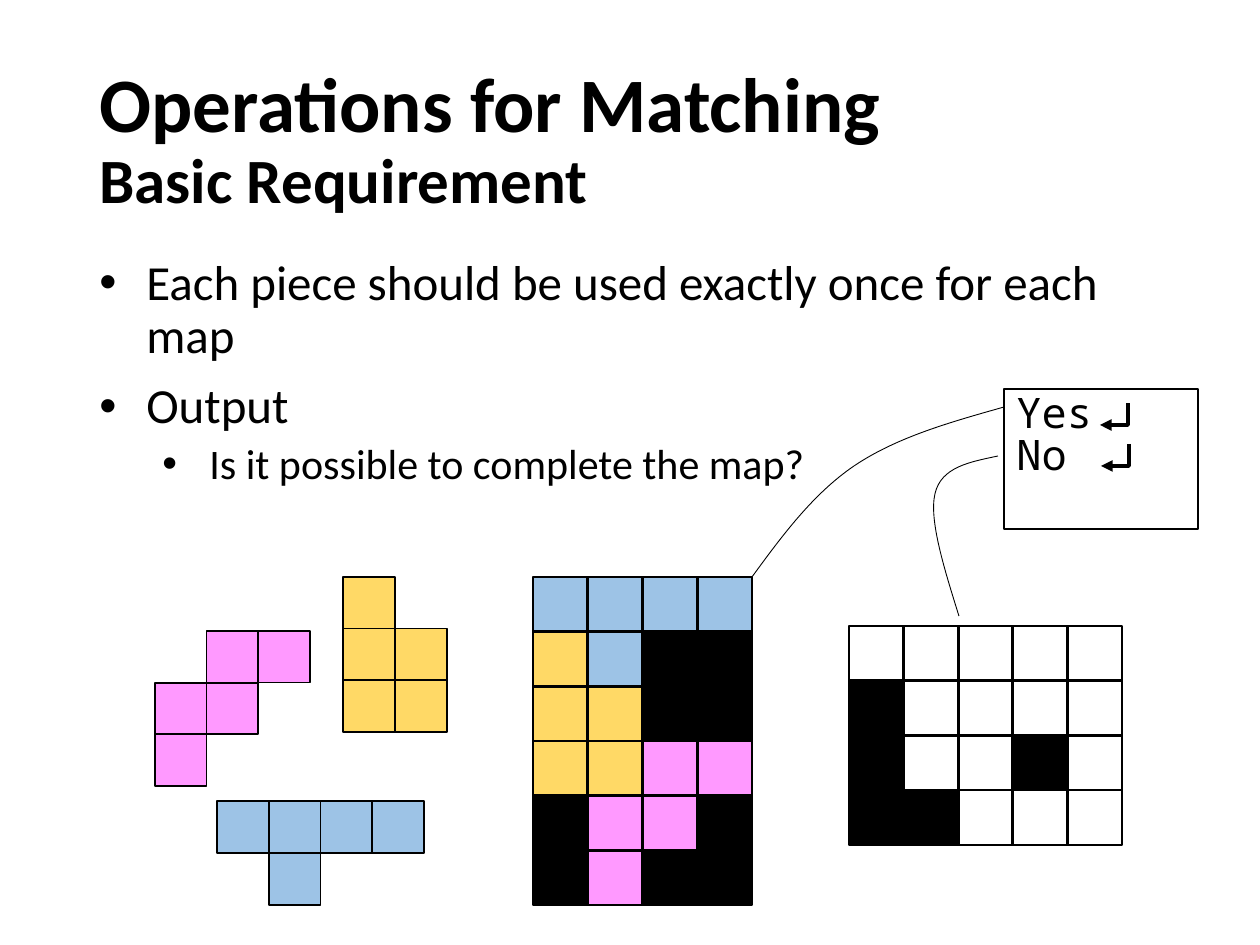
import pptx
import pptx.util
import pptx.dml.color
import pptx.enum.shapes
import pptx.enum.text
import pptx.oxml
import pptx.oxml.ns
from dataclasses import dataclass
from lxml import etree

PX = pptx.util.Inches(1) / 126
qn = pptx.oxml.ns.qn


def emu(pixels):
    return pptx.util.Emu(round(pixels * PX))


@dataclass
class Theme:
    ink: str = "000000"
    yellow: str = "FFD966"
    blue: str = "9DC3E6"
    pink: str = "FF99FF"
    text_font: str = "Calibri"
    code_font: str = "Noto Sans Mono"
    title: int = 44
    subtitle: int = 36
    bullet: int = 28
    detail: int = 24
    code: int = 24

    def cell_fill(self, mark):
        """Colour of a cell mark; O is an open cell without fill."""
        return {"Y": self.yellow, "B": self.blue, "P": self.pink,
                "#": self.ink, "O": None}[mark]


class SlideBuilder:
    def __init__(self, theme, page):
        self.theme = theme
        self.page = page

    def colour(self, value):
        return pptx.dml.color.RGBColor.from_string(value)

    def style(self, shape, fill, weight):
        shape.shadow.inherit = False
        if fill:
            shape.fill.solid()
            shape.fill.fore_color.rgb = self.colour(fill)
        else:
            shape.fill.background()
        shape.line.color.rgb = self.colour(self.theme.ink)
        shape.line.width = pptx.util.Pt(weight)

    def rectangle(self, shapes, left, top, width, height, fill, weight):
        kind = pptx.enum.shapes.MSO_SHAPE.RECTANGLE
        shape = shapes.add_shape(kind, *map(emu, (left, top, width, height)))
        self.style(shape, fill, weight)
        return shape

    def text_box(self, left, top, width, height):
        box = self.page.shapes.add_textbox(*map(emu, (left, top, width, height)))
        box.text_frame.word_wrap = True
        return box.text_frame

    def span(self, para, text, size, font=None, bold=False):
        run = para.add_run()
        run.text = text
        run.font.size = pptx.util.Pt(size)
        run.font.name = font or self.theme.text_font
        run.font.bold = bold
        run.font.color.rgb = self.colour(self.theme.ink)

    def title(self, heading, subheading):
        frame = self.text_box(87, 50, 1086, 183)
        frame.vertical_anchor = pptx.enum.text.MSO_ANCHOR.MIDDLE
        para = frame.paragraphs[0]
        para.line_spacing = 0.9
        self.span(para, heading, self.theme.title, bold=True)
        para.add_line_break()
        self.span(para, subheading, self.theme.subtitle, bold=True)

    def bullets(self, items):
        """Write (level, text) items as a bulleted list."""
        frame = self.text_box(87, 252, 1086, 600)
        hanging = 47
        for index, (level, text) in enumerate(items):
            para = frame.add_paragraph() if index else frame.paragraphs[0]
            para.level = level
            para.line_spacing = 0.9
            para.space_before = pptx.util.Pt(5 if level else 10)
            size = self.theme.detail if level else self.theme.bullet
            self.span(para, text, size)
            properties = para._p.get_or_add_pPr()
            properties.set("marL", str(emu(hanging + 63 * level)))
            properties.set("indent", str(-emu(hanging)))
            etree.SubElement(properties, qn("a:buFont"), typeface="Arial")
            etree.SubElement(properties, qn("a:buChar"), char="•")

    def console(self, lines):
        box = self.rectangle(self.page.shapes, 1004, 389, 194, 140, None, 1.5)
        frame = box.text_frame
        frame.word_wrap = True
        frame.vertical_anchor = pptx.enum.text.MSO_ANCHOR.TOP
        for index, line in enumerate(lines):
            para = frame.add_paragraph() if index else frame.paragraphs[0]
            para.alignment = pptx.enum.text.PP_ALIGN.LEFT
            para.line_spacing = pptx.util.Pt(24)
            self.span(para, line, self.theme.code, self.theme.code_font)

    def outline(self, points, weight):
        start, *others = [tuple(map(emu, point)) for point in points]
        builder = self.page.shapes.build_freeform(*start)
        builder.add_line_segments(others, close=False)
        shape = builder.convert_to_shape()
        self.style(shape, None, weight)
        return shape

    def return_arrow(self, right, top):
        bottom = top + 22
        shape = self.outline([(right, top), (right, bottom), (right - 28, bottom)], 2.25)
        etree.SubElement(shape.line._get_or_add_ln(), qn("a:tailEnd"), type="triangle")

    def curve(self, points):
        """Draw a start point followed by triples of Bézier points."""
        shape = self.outline(points, 0.5)
        segments = list(shape._element.iter(qn("a:lnTo")))
        track = segments[0].getparent()
        for first in range(0, len(segments), 3):
            bezier = etree.SubElement(track, qn("a:cubicBezTo"))
            for segment in segments[first:first + 3]:
                bezier.append(segment[0])
                track.remove(segment)

    def cells(self, rows, left, top, width, height, weight):
        """Fill an area with equal cells; a dot leaves its place empty."""
        group = self.page.shapes.add_group_shape()
        cell_width, cell_height = width / len(rows[0]), height / len(rows)
        for row, marks in enumerate(rows):
            for column, mark in enumerate(marks):
                if mark != ".":
                    self.rectangle(group.shapes, left + column * cell_width,
                                   top + row * cell_height, cell_width, cell_height,
                                   self.theme.cell_fill(mark), weight)


def main():
    deck = pptx.Presentation()
    deck.slide_width, deck.slide_height = emu(1260), emu(945)
    page = deck.slides.add_slide(deck.slide_layouts[6])
    slide = SlideBuilder(Theme(), page)

    slide.title("Operations for Matching", "Basic Requirement")
    slide.bullets([
        (0, "Each piece should be used exactly once for each map"),
        (0, "Output"),
        (1, "Is it possible to complete the map?"),
    ])
    slide.console(["Yes", "No"])
    slide.return_arrow(1128, 403)
    slide.return_arrow(1129, 444)

    solved_map = ["BBBB", "YB##", "YY##", "YYPP", "#PP#", "#P##"]
    open_map = ["OOOOO", "#OOOO", "#OO#O", "##OOO"]
    slide.cells(solved_map, 533, 577, 219, 328, 1.5)
    slide.cells(["Y.", "YY", "YY"], 343, 577, 104, 155, 1)
    slide.cells(["BBBB", ".B.."], 217, 801, 207, 104, 1)
    slide.cells([".PP", "PP.", "P.."], 155, 631, 155, 155, 1)
    slide.cells(open_map, 849, 626, 273, 219, 1.5)

    slide.curve([(998, 456), (970, 462), (941, 467), (935, 494),
                 (929, 520), (944, 568), (959, 616)])
    slide.curve([(1004, 407), (951, 422), (897, 437), (854, 466),
                 (813, 494), (782, 536), (752, 577)])
    deck.save("out.pptx")


if __name__ == "__main__":
    main()
